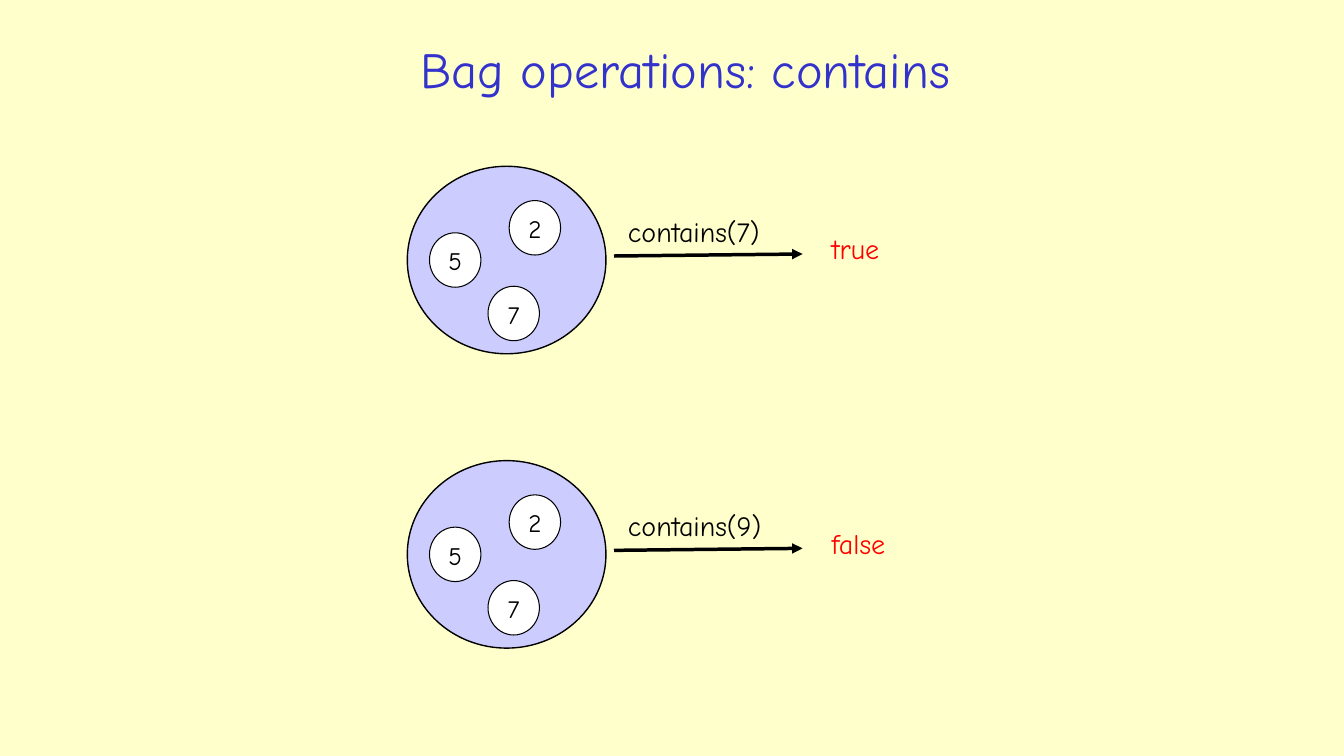
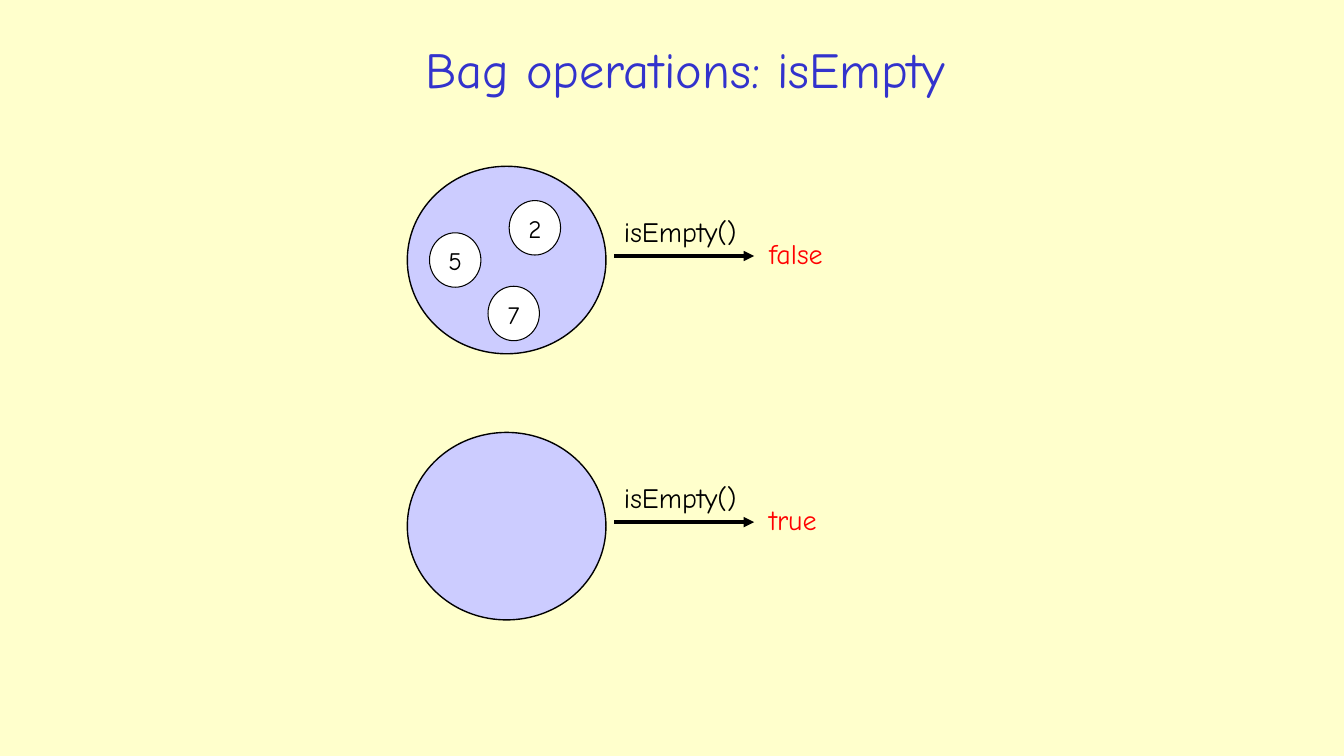
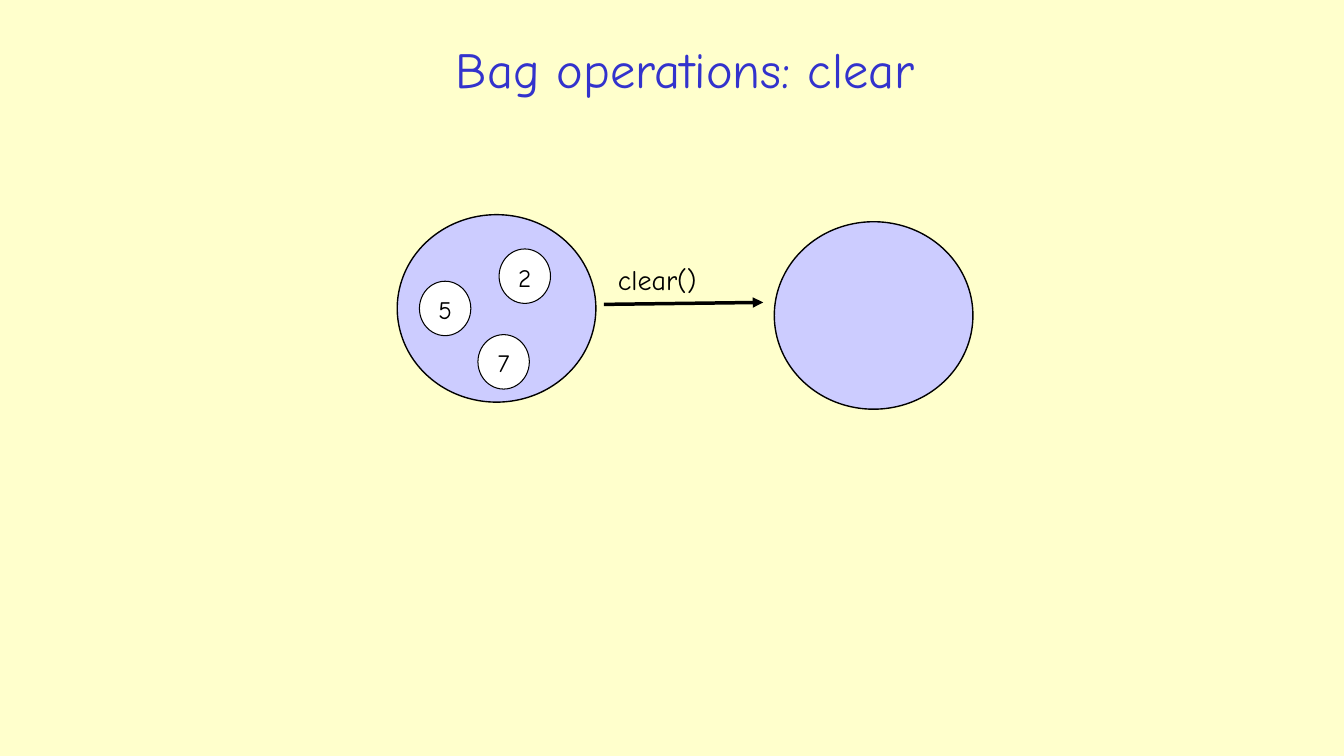
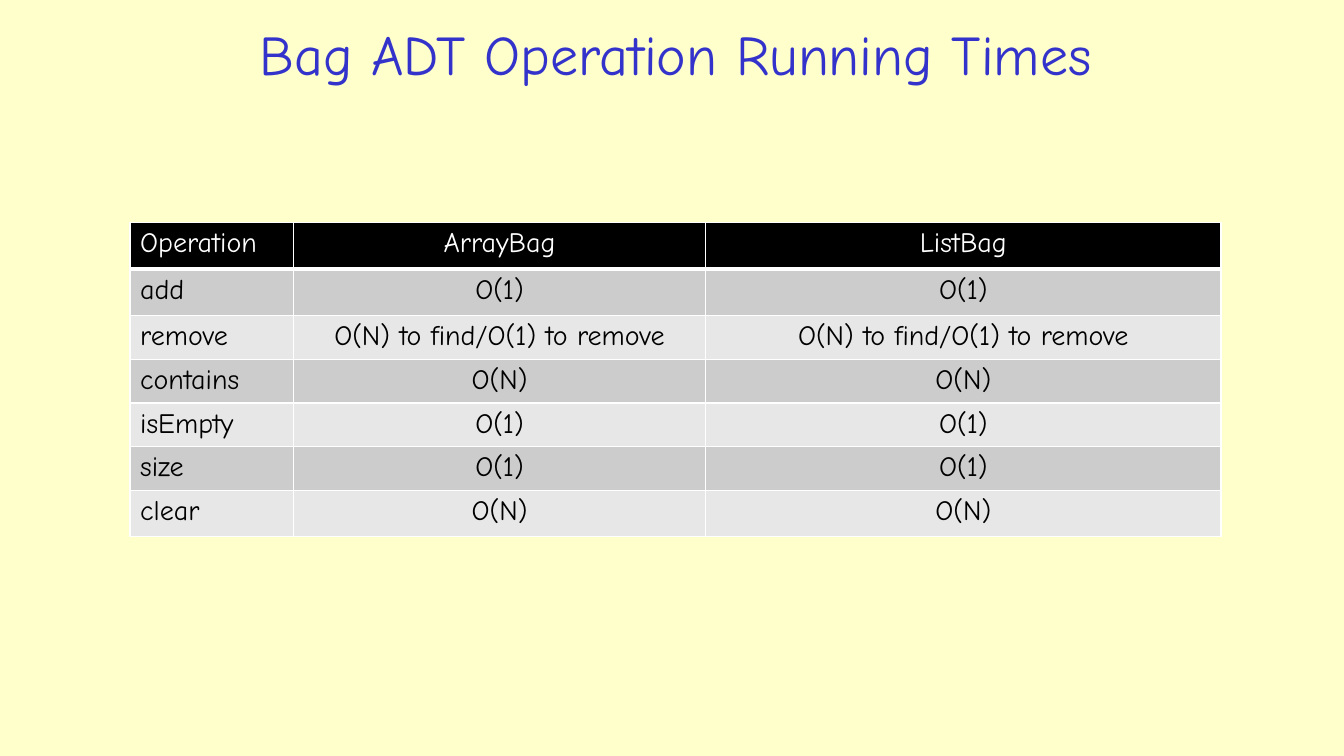
"""Build four slides on the operations of the Bag data type and their running times."""
from typing import NamedTuple

from lxml import etree
from pptx import Presentation
from pptx.dml.color import RGBColor
from pptx.enum.shapes import MSO_CONNECTOR, MSO_SHAPE
from pptx.enum.text import MSO_ANCHOR, MSO_AUTO_SIZE, PP_ALIGN
from pptx.oxml.ns import qn
from pptx.util import Inches, Pt

FONT = "Comic Neue"
CREAM = RGBColor(0xFF, 0xFF, 0xCC)
BLUE = RGBColor(0x33, 0x33, 0xCC)
LILAC = RGBColor(0xCC, 0xCC, 0xFF)
BLACK = RGBColor(0, 0, 0)
WHITE = RGBColor(0xFF, 0xFF, 0xFF)
RED = RGBColor(0xFF, 0, 0)
GREY = RGBColor(0xCC, 0xCC, 0xCC)
PALE = RGBColor(0xE7, 0xE7, 0xE7)

LEFT, CENTER = PP_ALIGN.LEFT, PP_ALIGN.CENTER
TOP, MIDDLE = MSO_ANCHOR.TOP, MSO_ANCHOR.MIDDLE
GROW = MSO_AUTO_SIZE.SHAPE_TO_FIT_TEXT
OVAL, STRAIGHT = MSO_SHAPE.OVAL, MSO_CONNECTOR.STRAIGHT


class Box(NamedTuple):
    x: float
    y: float
    w: float
    h: float


class Item(NamedTuple):
    text: str
    dx: float
    dy: float


class Style(NamedTuple):
    reach: float
    rise: float
    label: float
    width: float
    gap: float = 0
    drop: float = 0


class Step(NamedTuple):
    x: float
    y: float
    call: str
    result: str = ""
    full: bool = True


ITEMS = (Item("5", 0.22, 0.66), Item("7", 0.8, 1.19), Item("2", 1.01, 0.34))
TITLE = Box(1.12, 0.26, 11.35, 0.84)
CONTAINS = Style(1.87, 0.02, 2.09, 1.9, 4.11, 0.6)
EMPTY = Style(1.39, 0, 2.05, 1.75, 3.49, 0.65)
CLEAR = Style(1.58, 0.02, 2.09, 1.53)

ROWS = (
    ("Operation", "ArrayBag", "ListBag"),
    ("add", "O(1)", "O(1)"),
    ("remove",) + ("O(N) to find/O(1) to remove",) * 2,
    ("contains", "O(N)", "O(N)"),
    ("isEmpty", "O(1)", "O(1)"),
    ("size", "O(1)", "O(1)"),
    ("clear", "O(N)", "O(N)"),
)
WIDTHS = (1.62, 4.09, 5.11)
HEIGHTS = (0.46, 0.46, 0.42, 0.42, 0.42, 0.42, 0.46)


def write(frame, text: str, *, size: float = 20, color: RGBColor = BLACK,
          align=LEFT) -> None:
    para = frame.paragraphs[0]
    para.alignment = align
    run = para.add_run()
    run.text = text
    font = run.font
    font.name, font.size, font.bold = FONT, Pt(size), False
    font.color.rgb = color


def add_text(slide, box: Box, text: str, *, anchor=TOP, grow: bool = True, **style) -> None:
    frame = slide.shapes.add_textbox(*map(Inches, box)).text_frame
    frame.word_wrap = True
    frame.vertical_anchor = anchor
    if grow:
        frame.auto_size = GROW
    write(frame, text, **style)


def add_title(slide, text: str, box: Box = TITLE, size: float = 36) -> None:
    add_text(slide, box, text, anchor=MIDDLE, grow=False, size=size, color=BLUE, align=CENTER)


def add_oval(slide, box: Box, fill: RGBColor, line: float):
    oval = slide.shapes.add_shape(OVAL, *map(Inches, box))
    oval.shadow.inherit = False
    oval.fill.solid()
    oval.fill.fore_color.rgb = fill
    oval.line.color.rgb = BLACK
    oval.line.width = Pt(line)
    return oval


def add_bag(slide, x: float, y: float, full: bool = True) -> None:
    add_oval(slide, Box(x, y, 1.97, 1.86), LILAC, 1)
    for item in ITEMS if full else ():
        ball = add_oval(slide, Box(x + item.dx, y + item.dy, 0.51, 0.54), WHITE, 0.75)
        ball.text_frame.vertical_anchor = TOP
        write(ball.text_frame, item.text, size=18, align=CENTER)


def add_arrow(slide, x: float, y: float, reach: float, rise: float) -> None:
    ends = map(Inches, (x, y, x + reach, y - rise))
    arrow = slide.shapes.add_connector(STRAIGHT, *ends)
    arrow.line.color.rgb = BLACK
    arrow.line.width = Pt(2.5)
    props = arrow.element.spPr
    etree.SubElement(props.find(qn("a:ln")), qn("a:tailEnd"), type="triangle")
    etree.SubElement(props, qn("a:effectLst"))


def add_step(slide, step: Step, style: Style) -> None:
    x, y = step.x, step.y
    add_bag(slide, x, y, step.full)
    add_arrow(slide, x + 2.05, y + 0.89, style.reach, style.rise)
    add_text(slide, Box(x + style.label, y + 0.43, style.width, 0.44), step.call)
    if step.result:
        spot = Box(x + style.gap, y + style.drop, 0.86, 0.44)
        add_text(slide, spot, step.result, color=RED)


def add_edge(cell, tag: str, width: float) -> None:
    props = cell._tc.get_or_add_tcPr()
    line = etree.SubElement(props, qn(tag), w=str(Pt(width)))
    fill = etree.SubElement(line, qn("a:solidFill"))
    etree.SubElement(fill, qn("a:srgbClr"), val=str(WHITE))


def add_grid(slide, x: float, y: float) -> None:
    box = Box(x, y, sum(WIDTHS), sum(HEIGHTS))
    table = slide.shapes.add_table(len(ROWS), len(WIDTHS), *map(Inches, box)).table
    table.horz_banding = False
    for col, width in zip(table.columns, WIDTHS):
        col.width = Inches(width)
    for i, (row, height) in enumerate(zip(table.rows, HEIGHTS)):
        row.height = Inches(height)
        head = i == 0
        fill = BLACK if head else GREY if i % 2 else PALE
        for j, cell in enumerate(row.cells):
            for tag in ("a:lnL", "a:lnR", "a:lnT", "a:lnB"):
                add_edge(cell, tag, 3 if head and tag == "a:lnB" else 1)
            cell.fill.solid()
            cell.fill.fore_color.rgb = fill
            write(cell.text_frame, ROWS[i][j], color=WHITE if head else BLACK,
                  align=CENTER if j else LEFT)


def main() -> None:
    deck = Presentation()
    deck.slide_width, deck.slide_height = Inches(13.33), Inches(7.5)
    back = deck.slide_master.background.fill
    back.solid()
    back.fore_color.rgb = CREAM
    blank = deck.slide_layouts[6]

    pages = (
        ("contains", CONTAINS, (Step(4.04, 1.65, "contains(7)", "true"),
                                Step(4.04, 4.57, "contains(9)", "false"))),
        ("isEmpty", EMPTY, (Step(4.04, 1.65, "isEmpty()", "false"),
                            Step(4.04, 4.29, "isEmpty()", "true", full=False))),
        ("clear", CLEAR, (Step(3.94, 2.13, "clear()"),)),
    )
    for name, style, steps in pages:
        slide = deck.slides.add_slide(blank)
        add_title(slide, f"Bag operations: {name}")
        for step in steps:
            add_step(slide, step, style)
    add_bag(slide, 7.68, 2.2, full=False)

    slide = deck.slides.add_slide(blank)
    add_title(slide, "Bag ADT Operation Running Times", Box(2.02, 0.15, 9.36, 0.76), 40)
    add_grid(slide, 1.29, 2.21)
    deck.save("out.pptx")


if __name__ == "__main__":
    main()
